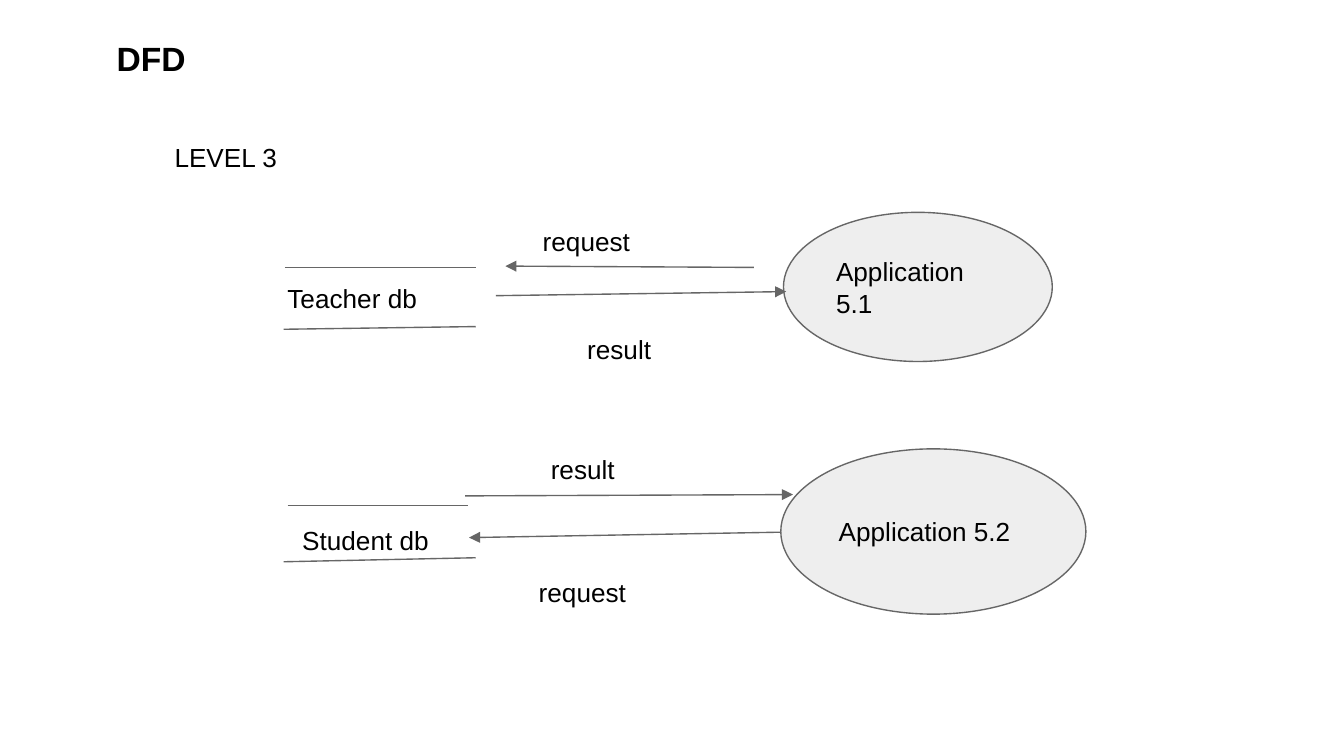
from dataclasses import dataclass

from lxml import etree
from pptx import Presentation
from pptx.dml.color import RGBColor
from pptx.enum.shapes import MSO_CONNECTOR as Connector, MSO_SHAPE as Shape
from pptx.enum.text import MSO_ANCHOR as Anchor, PP_ALIGN as Align
from pptx.oxml.ns import qn
from pptx.util import Pt

PX = 9144  # EMU per px, 100 px to the inch
SLIDE_WIDTH = 1000


@dataclass(frozen=True)
class Theme:
    font: str = "Arial"
    ink: RGBColor = RGBColor(0x00, 0x00, 0x00)
    outline: RGBColor = RGBColor(0x66, 0x66, 0x66)
    process: RGBColor = RGBColor(0xEE, 0xEE, 0xEE)
    title_size: int = 18
    body_size: int = 14
    line_width: float = 0.75
    inset: int = 10


THEME = Theme()


def emu(*lengths):
    return [length * PX for length in lengths]


def shift(origin, box):
    """Move a box from region to slide coordinates."""
    left, top = origin
    return box[0] + left, box[1] + top, *box[2:]


def write(shape, text, size=THEME.body_size, bold=False, anchor=Anchor.TOP):
    frame = shape.text_frame
    frame.word_wrap = True
    frame.vertical_anchor = anchor
    frame.margin_left = frame.margin_right = THEME.inset * PX
    frame.margin_top = frame.margin_bottom = THEME.inset * PX
    paragraph = frame.paragraphs[0]
    paragraph.alignment = Align.LEFT
    run = paragraph.add_run()
    run.text = text
    run.font.name = THEME.font
    run.font.size = Pt(size)
    run.font.bold = bold
    run.font.color.rgb = THEME.ink


def add_label(slide, box, text, **style):
    write(slide.shapes.add_textbox(*emu(*box)), text, **style)


def add_line(slide, origin, ends, arrow=False):
    left, top = origin
    x1, y1, x2, y2 = ends
    connector = slide.shapes.add_connector(
        Connector.STRAIGHT, *emu(left + x1, top + y1, left + x2, top + y2))
    connector.line.color.rgb = THEME.outline
    connector.line.width = Pt(THEME.line_width)
    if arrow:
        etree.SubElement(connector.get_or_add_ln(), qn("a:tailEnd"), type="triangle")
    etree.SubElement(connector.element.spPr, qn("a:effectLst"))


def add_process(slide, box, text):
    ellipse = slide.shapes.add_shape(Shape.OVAL, *emu(*box))
    ellipse.shadow.inherit = False
    ellipse.fill.solid()
    ellipse.fill.fore_color.rgb = THEME.process
    ellipse.line.color.rgb = THEME.outline
    ellipse.line.width = Pt(THEME.line_width)
    write(ellipse, text, anchor=Anchor.MIDDLE)


def add_heading(slide, origin):
    add_label(slide, shift(origin, (0, 0, 177, 34)), "DFD",
              size=THEME.title_size, bold=True)
    add_label(slide, shift(origin, (43, 77, 165, 28)), "LEVEL 3")


def add_data_flow(slide, origin, store, store_lines, process, flows):
    """Draw a data store, a process and the labelled flows between them."""
    # Open-ended data store
    for ends in store_lines:
        add_line(slide, origin, ends)
    store_name, store_box = store
    add_label(slide, shift(origin, store_box), store_name)
    # Process
    process_name, process_box = process
    add_process(slide, shift(origin, process_box), process_name)
    # Flows
    for flow_name, label_box, ends in flows:
        add_line(slide, origin, ends, arrow=True)
        add_label(slide, shift(origin, label_box), flow_name)


def main():
    presentation = Presentation()
    presentation.slide_width = SLIDE_WIDTH * PX
    presentation.slide_height = SLIDE_WIDTH * PX * 9 // 16
    slide = presentation.slides.add_slide(presentation.slide_layouts[6])

    add_heading(slide, (77, 18))
    # Teacher flow
    add_data_flow(
        slide, (204, 158),
        store=("Teacher db", (0, 42, 165, 40)),
        store_lines=[(8, 41, 150, 41), (7, 87, 150, 85)],
        process=("Application 5.1", (379, 0, 200, 111)),
        flows=[("request", (190, 0, 183, 34), (357, 41, 172, 40)),
               ("result", (223, 80, 115, 23), (165, 62, 381, 59))])
    # Student flow
    add_data_flow(
        slide, (204, 327),
        store=("Student db", (11, 53, 134, 40)),
        store_lines=[(10, 49, 144, 49), (7, 91, 150, 88)],
        process=("Application 5.2", (377, 7, 227, 123)),
        flows=[("result", (196, 0, 134, 28), (142, 42, 386, 41)),
               ("request", (187, 92, 151, 23), (377, 69, 145, 73))])

    presentation.save("out.pptx")


if __name__ == "__main__":
    main()
